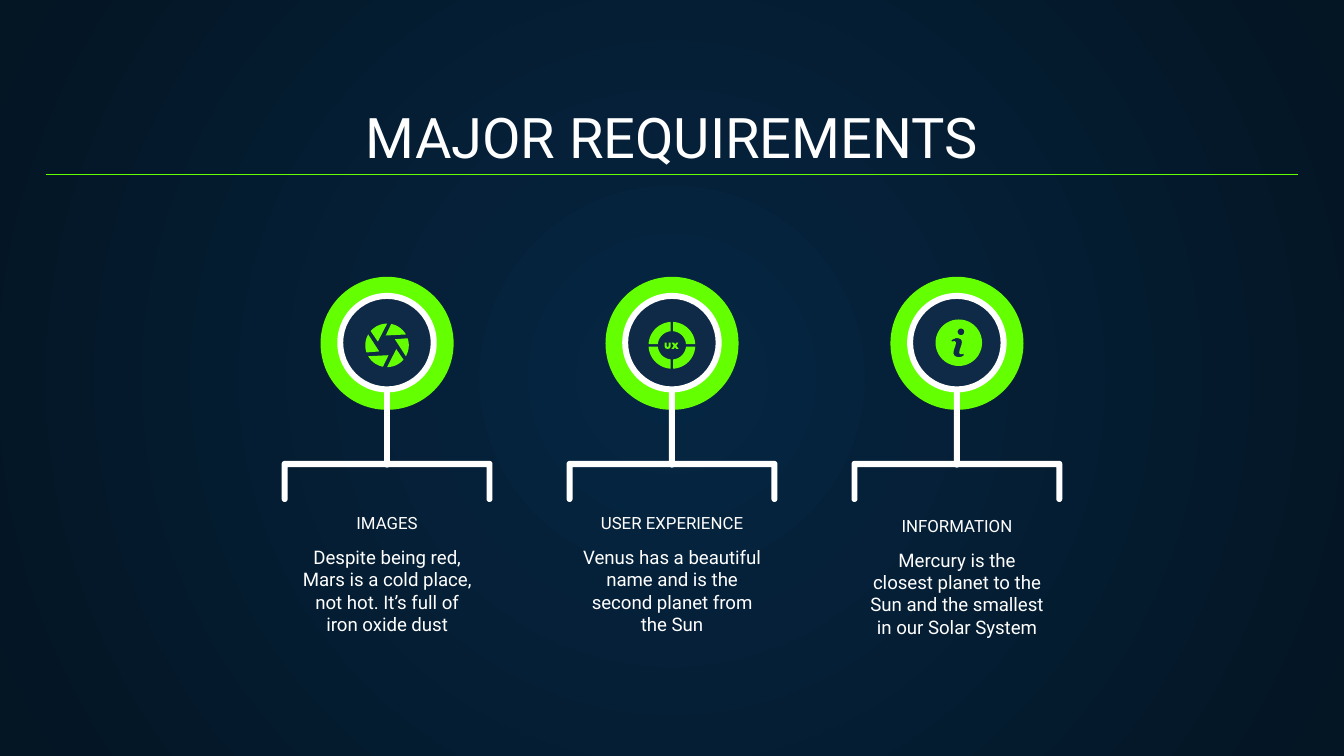
import math
import lxml.etree
import pptx
import pptx.dml.color
import pptx.enum.shapes
import pptx.enum.text
import pptx.oxml.ns
import pptx.util


def rgb(value):
    return pptx.dml.color.RGBColor.from_string(value)


def arc(cx, cy, r, start, end, steps=16):
    angles = [math.radians(start + (end - start) * i / steps) for i in range(steps + 1)]
    return [(cx + r * math.cos(a), cy + r * math.sin(a)) for a in angles]


GREEN, NAVY, WHITE = "64FF00", "0E2A47", "FFFFFF"
SHAPE = pptx.enum.shapes.MSO_SHAPE
ANCHOR = pptx.enum.text.MSO_ANCHOR
qn = pptx.oxml.ns.qn

prs = pptx.Presentation()
prs.slide_width = pptx.util.Inches(10)
prs.slide_height = pptx.util.Inches(5.625)
U = prs.slide_width // 1000
s = prs.slides.add_slide(prs.slide_layouts[6])

bg = s.background.fill
bg.gradient()
for stop, color in zip(bg.gradient_stops, ["052643", "041523"]):
    stop.color.rgb = rgb(color)
grad = s.background._cSld.find(".//" + qn("a:gradFill"))
lin = grad.find(qn("a:lin"))
path = lxml.etree.Element(qn("a:path"), {"path": "circle"})
lxml.etree.SubElement(path, qn("a:fillToRect"), dict.fromkeys("ltrb", "50000"))
grad.replace(lin, path)

centers = [500 + 212 * i for i in (-1, 0, 1)]
labels = [
    ("IMAGES", "Despite being red, Mars is a cold place, not hot. It’s full of iron oxide dust", 0),
    ("USER EXPERIENCE", "Venus has a beautiful name and is the second planet from the Sun", 0),
    ("INFORMATION", "Mercury is the closest planet to the Sun and the smallest in our Solar System", 2),
]

texts = [("MAJOR REQUIREMENTS", 34, 70, 932, 66, 30, ANCHOR.BOTTOM)]
badges = []
outlines = []
for c, (head, body, drop) in zip(centers, labels):
    texts.append((head, c - 113.5, 383 + drop, 227, 21, 9, ANCHOR.BOTTOM))
    texts.append((body, c - 76, 396 + drop, 152, 55, 10, ANCHOR.TOP))
    badges += [
        (SHAPE.OVAL, c, 255.5, 99, 99, GREEN, None),
        (SHAPE.ROUNDED_RECTANGLE, c, 298, 4.4, 100, WHITE, 0.5),
        (SHAPE.OVAL, c, 255, 70, 70, NAVY, None),
        (SHAPE.DONUT, c, 255, 74, 74, WHITE, 0.06),
    ]
    left, right = c - 76.2, c + 76.2
    bracket = (arc(left, 371.3, 2.2, 0, 180) + arc(left, 345.2, 2.2, 180, 270)
               + arc(right, 345.2, 2.2, 270, 360) + arc(right, 371.3, 2.2, 0, 180)
               + [(right - 2.2, 347.6), (left + 2.2, 347.6)])
    outlines.append((WHITE, [bracket]))

camera, target, info = centers
for turn in range(0, 360, 60):
    blade = arc(camera, 257, 16.2, turn - 79, turn - 30) + arc(camera, 257, 7.4, turn - 98, turn - 98, 1)
    outlines.append((GREEN, [blade]))
for turn in range(0, 360, 90):
    sector = arc(target, 257, 17.4, turn + 3, turn + 87) + arc(target, 257, 10.5, turn + 85, turn + 5)
    outlines.append((GREEN, [sector]))

letter_u = [(-5.4, -2), (-3.9, -2), (-3.9, 0.8), (-3.2, 1.4), (-2.5, 0.8), (-2.5, -2),
            (-1, -2), (-1, 1), (-1.6, 2.2), (-3.2, 2.7), (-4.8, 2.2), (-5.4, 1)]
letter_x = [(-0.3, -2), (1.5, -2), (2.3, -0.8), (3.1, -2), (4.8, -2), (3.2, 0.3),
            (4.9, 2.6), (3.1, 2.6), (2.2, 1.3), (1.4, 2.6), (-0.4, 2.6), (1.3, 0.3)]
for letter in (letter_u, letter_x):
    outlines.append((GREEN, [[(target + x, 257 + y) for x, y in letter]]))

stem = [(-4, -2), (-1, -3.4), (1, -3.4), (3, -2.6), (3.8, -0.8), (3.4, 1.5), (2, 5.6),
        (1.7, 7.6), (2.4, 8.6), (4, 8.6), (5, 8), (5, 9.6), (3, 10.6), (0.8, 10.8),
        (-1.6, 9.9), (-2.6, 8), (-2.3, 5.6), (-0.9, 1.4), (-0.8, -0.4), (-1.6, -1.2), (-4, -0.9)]
outlines.append((GREEN, [arc(info + 1.4, 255, 17.3, 0, 360, 48),
                         arc(info + 3, 246.9, 2.5, 0, 360),
                         [(info + x, 255 + y) for x, y in stem]]))

shapes = []
for kind, cx, cy, w, h, color, adj in badges:
    sp = s.shapes.add_shape(kind, *[round(v * U) for v in (cx - w / 2, cy - h / 2, w, h)])
    if adj:
        sp.adjustments[0] = adj
    shapes.append((sp, color))
for color, contours in outlines:
    contours = [[(x * U, y * U) for x, y in contour] for contour in contours]
    fb = s.shapes.build_freeform(*contours[0][0])
    fb.add_line_segments(contours[0][1:])
    for contour in contours[1:]:
        fb.move_to(*contour[0])
        fb.add_line_segments(contour[1:])
    shapes.append((fb.convert_to_shape(), color))
for sp, color in shapes:
    sp.shadow.inherit = False
    sp.fill.solid()
    sp.fill.fore_color.rgb = rgb(color)
    sp.line.fill.background()

for text, x, y, w, h, size, anchor in texts:
    tf = s.shapes.add_textbox(*[round(v * U) for v in (x, y, w, h)]).text_frame
    frame = {"word_wrap": True, "vertical_anchor": anchor}
    frame.update(dict.fromkeys(["margin_left", "margin_top", "margin_right", "margin_bottom"], 10 * U))
    for name, value in frame.items():
        setattr(tf, name, value)
    p = tf.paragraphs[0]
    p.alignment = pptx.enum.text.PP_ALIGN.CENTER
    r = p.add_run()
    r.text = text
    for name, value in {"name": "Roboto", "size": pptx.util.Pt(size)}.items():
        setattr(r.font, name, value)
    r.font.color.rgb = rgb(WHITE)

rule = s.shapes.add_connector(pptx.enum.shapes.MSO_CONNECTOR.STRAIGHT, 34 * U, 130 * U, 966 * U, 130 * U)
rule.line.color.rgb = rgb(GREEN)
rule.line.width = pptx.util.Pt(0.75)
lxml.etree.SubElement(rule._element.spPr, qn("a:effectLst"))

prs.save("out.pptx")
